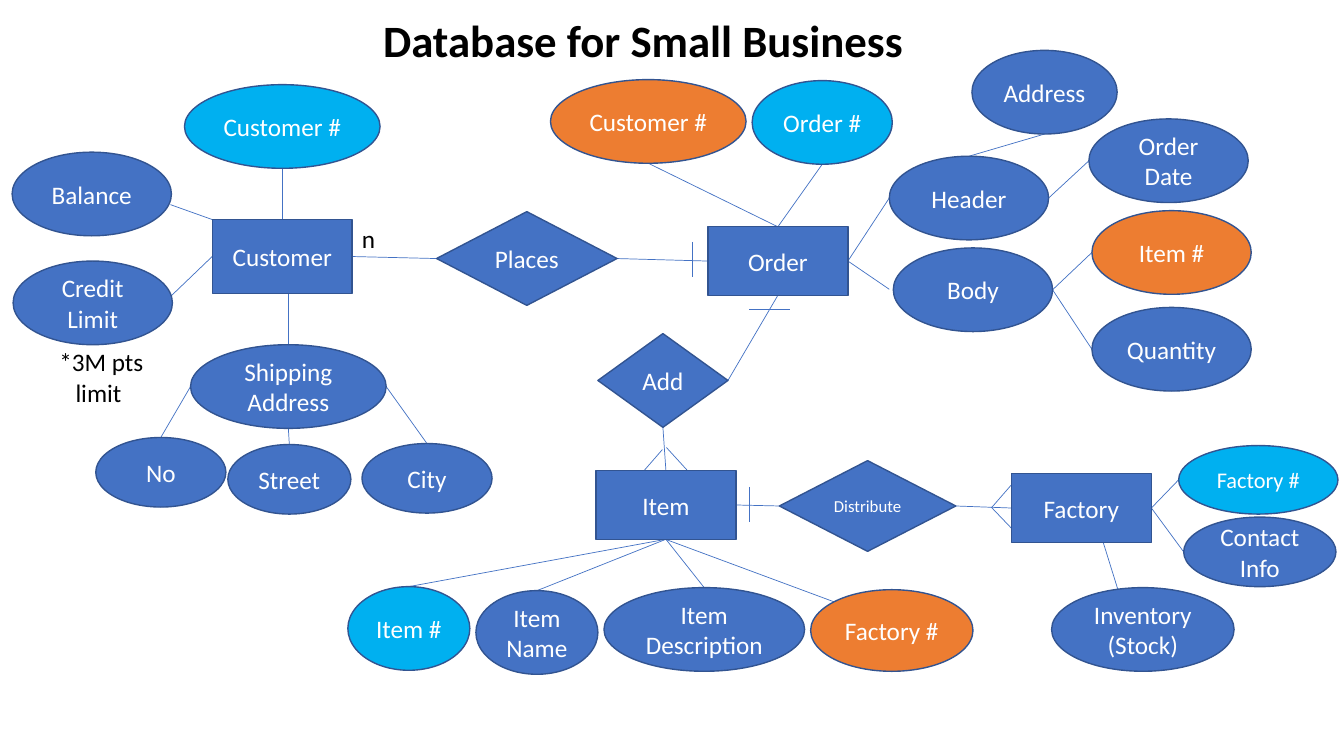
"""Build an entity-relationship diagram slide for a small business database."""
from lxml import etree
from pptx import Presentation
from pptx.dml.color import RGBColor
from pptx.enum.shapes import MSO_CONNECTOR, MSO_SHAPE
from pptx.enum.text import MSO_ANCHOR, PP_ALIGN
from pptx.oxml.ns import qn
from pptx.util import Inches, Pt

RECT, DIAMOND, ELLIPSE = MSO_SHAPE.RECTANGLE, MSO_SHAPE.DIAMOND, MSO_SHAPE.OVAL
STRAIGHT = MSO_CONNECTOR.STRAIGHT
MIDDLE = MSO_ANCHOR.MIDDLE
LEFT, CENTER = PP_ALIGN.LEFT, PP_ALIGN.CENTER

COLORS = {
    "plain": "4472C4",
    "primary": "00B0F0",
    "foreign": "ED7D31",
    "border": "325491",
    "light": "FFFFFF",
    "dark": "000000",
}
SIDES = {"top": (0.5, 0), "left": (0, 0.5), "bottom": (0.5, 1), "right": (1, 0.5)}


def rgb(name):
    return RGBColor.from_string(COLORS[name])


class Diagram:
    def __init__(self, slide, font="Calibri", size=18):
        self.slide = slide
        self.font = font
        self.size = size

    def set_text(self, tf, text, color, align=CENTER, size=None, bold=False):
        tf.word_wrap = True
        tf.text = text
        for p in tf.paragraphs:
            p.alignment = align
            for r in p.runs:
                r.font.name = self.font
                r.font.size = Pt(size or self.size)
                r.font.bold = bold
                r.font.color.rgb = rgb(color)

    def node(self, kind, text, box, fill="plain", size=None):
        sp = self.slide.shapes.add_shape(kind, *map(Inches, box))
        sp.shadow.inherit = False
        sp.fill.solid()
        sp.fill.fore_color.rgb = rgb(fill)
        sp.line.color.rgb = rgb("border")
        sp.line.width = Pt(1)
        sp.text_frame.vertical_anchor = MIDDLE
        self.set_text(sp.text_frame, text, "light", size=size)

    def label(self, text, box, **style):
        sp = self.slide.shapes.add_textbox(*map(Inches, box))
        self.set_text(sp.text_frame, text, "dark", **style)

    def line(self, start, end):
        cxn = self.slide.shapes.add_connector(STRAIGHT, *map(Inches, (*start, *end)))
        cxn.line.color.rgb = rgb("plain")
        cxn.line.width = Pt(0.5)
        etree.SubElement(cxn._element.spPr, qn("a:effectLst"))


NODES = {
    "customer": (RECT, "Customer", (2.11, 2.18, 1.38, 0.73)),
    "order": (RECT, "Order", (7.02, 2.25, 1.39, 0.68)),
    "item": (RECT, "Item", (5.91, 4.67, 1.39, 0.68)),
    "factory": (RECT, "Factory", (10.03, 4.7, 1.39, 0.68)),
    "places": (DIAMOND, "Places", (4.33, 2.1, 1.79, 0.93)),
    "add": (DIAMOND, "Add", (5.93, 3.31, 1.29, 0.93)),
    "distribute": (DIAMOND, "Distribute", (7.73, 4.57, 1.75, 0.9), "plain", 12),
    "customer_no": (ELLIPSE, "Customer #", (1.83, 0.84, 1.94, 0.83), "primary"),
    "balance": (ELLIPSE, "Balance", (0.12, 1.51, 1.58, 0.83)),
    "credit": (ELLIPSE, "Credit Limit", (0.13, 2.59, 1.58, 0.83)),
    "shipping": (ELLIPSE, "Shipping Address", (1.89, 3.42, 1.94, 0.83)),
    "house_no": (ELLIPSE, "No", (0.95, 4.34, 1.29, 0.69)),
    "street": (ELLIPSE, "Street", (2.26, 4.41, 1.22, 0.69)),
    "city": (ELLIPSE, "City", (3.59, 4.4, 1.29, 0.69)),
    "order_customer": (ELLIPSE, "Customer #", (5.46, 0.79, 1.94, 0.83), "foreign"),
    "order_no": (ELLIPSE, "Order #", (7.46, 0.8, 1.39, 0.83), "primary"),
    "header": (ELLIPSE, "Header", (8.82, 1.55, 1.58, 0.83)),
    "address": (ELLIPSE, "Address", (9.64, 0.5, 1.44, 0.83)),
    "order_date": (ELLIPSE, "Order Date", (10.8, 1.18, 1.58, 0.83)),
    "body": (ELLIPSE, "Body", (8.86, 2.46, 1.58, 0.83)),
    "order_item": (ELLIPSE, "Item #", (10.83, 2.09, 1.58, 0.83), "foreign"),
    "quantity": (ELLIPSE, "Quantity", (10.83, 3.05, 1.58, 0.83)),
    "item_no": (ELLIPSE, "Item #", (3.45, 5.82, 1.21, 0.83), "primary"),
    "item_name": (ELLIPSE, "Item Name", (4.72, 5.86, 1.21, 0.83)),
    "description": (ELLIPSE, "Item Description", (5.99, 5.83, 1.99, 0.83)),
    "item_factory": (ELLIPSE, "Factory #", (8.04, 5.85, 1.61, 0.81), "foreign"),
    "factory_no": (ELLIPSE, "Factory #", (11.69, 4.42, 1.58, 0.68), "primary", 16),
    "contact": (ELLIPSE, "Contact Info", (11.74, 5.13, 1.51, 0.69)),
    "inventory": (ELLIPSE, "Inventory (Stock)", (10.43, 5.83, 1.81, 0.83)),
}

LINKS = [
    ("customer_no", "bottom", "customer", "top"),
    ("shipping", "left", "house_no", "top"),
    ("shipping", "bottom", "street", "top"),
    ("shipping", "right", "city", "top"),
    ("customer", "right", "places", "left"),
    ("places", "right", "order", "left"),
    ("order_customer", "bottom", "order", "top"),
    ("order_no", "bottom", "order", "top"),
    ("order", "right", "header", "left"),
    ("address", "bottom", "header", "top"),
    ("order_date", "left", "header", "right"),
    ("body", "right", "order_item", "left"),
    ("body", "right", "quantity", "left"),
    ("order", "bottom", "add", "right"),
    ("add", "bottom", "item", "top"),
    ("item", "bottom", "item_no", "top"),
    ("item", "bottom", "item_name", "top"),
    ("item", "bottom", "description", "top"),
    ("item", "right", "distribute", "left"),
    ("distribute", "right", "factory", "left"),
    ("factory", "right", "factory_no", "left"),
    ("factory", "right", "contact", "left"),
]

FREE_LINKS = [
    ((1.69, 2.03), (2.11, 2.18)),
    ((1.61, 3.02), (2.11, 2.54)),
    ((2.86, 2.9), (2.86, 3.42)),
    ((8.41, 2.59), (8.82, 2.87)),
    ((6.6, 5.35), (8.27, 5.97)),
    ((10.73, 4.7), (11.34, 6.66)),
]

CARDINALITY_MARKS = [
    ((6.87, 2.4), (6.87, 2.75)),
    ((7.43, 3.07), (7.84, 3.07)),
    ((7.43, 4.83), (7.43, 5.18)),
    ((6.61, 4.44), (6.82, 4.67)),
    ((6.37, 4.69), (6.57, 4.46)),
    ((9.83, 5.03), (10.05, 5.26)),
    ((9.84, 5.03), (10.04, 4.8)),
]


def side_point(name, side):
    x, y, w, h = NODES[name][2]
    fx, fy = SIDES[side]
    return x + fx * w, y + fy * h


prs = Presentation()
prs.slide_width, prs.slide_height = Inches(13.33), Inches(7.5)
diagram = Diagram(prs.slides.add_slide(prs.slide_layouts[6]))

for a, a_side, b, b_side in LINKS:
    diagram.line(side_point(a, a_side), side_point(b, b_side))
for start, end in FREE_LINKS + CARDINALITY_MARKS:
    diagram.line(start, end)
for node in NODES.values():
    diagram.node(*node)

diagram.label("Database for Small Business", (0.84, 0.08, 11.08, 0.64), size=32, bold=True)
diagram.label("*3M pts\nlimit ", (0.41, 3.39, 1.19, 0.71))
diagram.label("n", (3.49, 2.17, 0.28, 0.4), align=LEFT)

prs.save("out.pptx")
